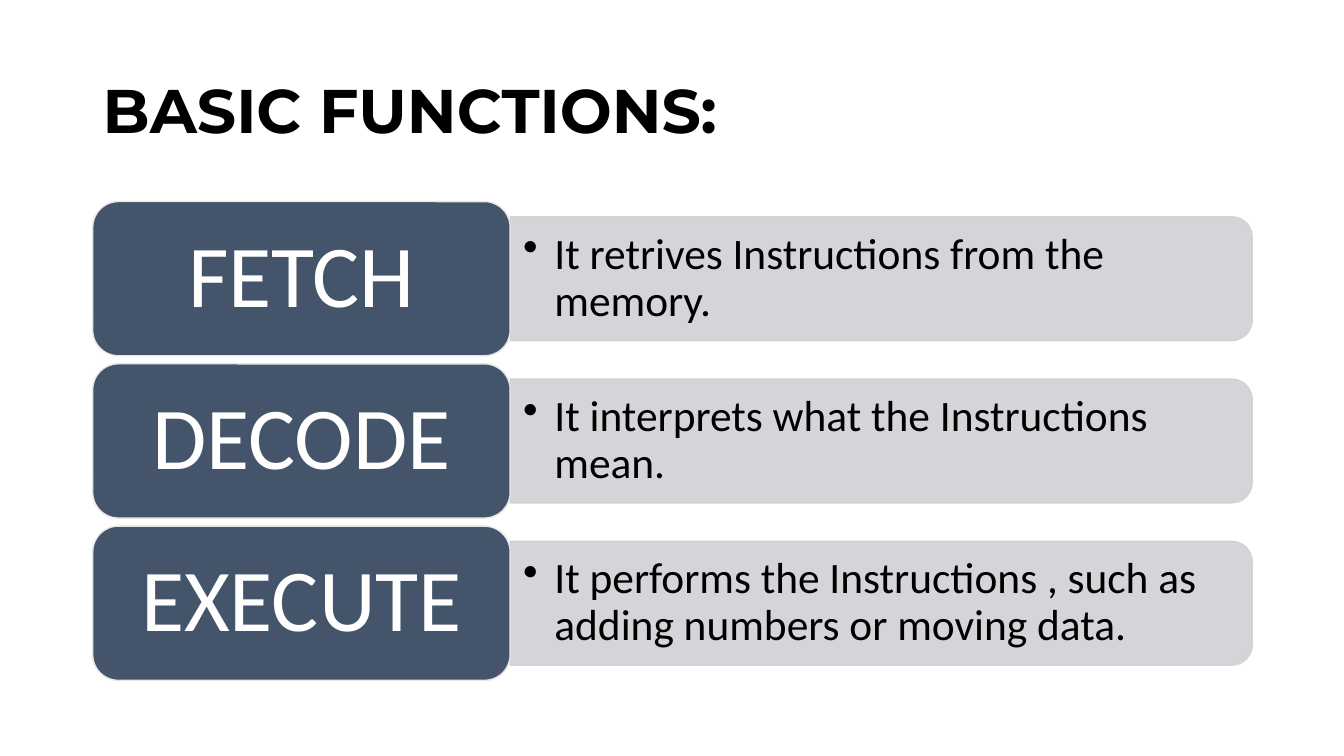
from lxml.etree import SubElement
from pptx import Presentation
from pptx.dml.color import RGBColor
from pptx.enum.shapes import MSO_SHAPE
from pptx.enum.text import MSO_ANCHOR, PP_ALIGN
from pptx.oxml.ns import qn
from pptx.util import Inches, Pt

THEME = {
    "label": RGBColor(0x44, 0x54, 0x6A),
    "edge": RGBColor(0xE7, 0xE6, 0xE6),
    "bar": RGBColor(0xCF, 0xD1, 0xD4),
    "dark": RGBColor(0, 0, 0),
    "light": RGBColor(255, 255, 255),
    "heading": "Montserrat",
    "body": "Calibri",
    "title_size": 44,
    "label_size": 63,
    "text_size": 31,
}
STEPS = [
    ("FETCH", "It retrives Instructions from the memory."),
    ("DECODE", "It interprets what the Instructions mean."),
    ("EXECUTE", "It performs the Instructions , such as adding numbers or moving data."),
]
LEFT, TOP, PITCH = 0.92, 2, 1.61
LABEL_W, LABEL_H = 4.14, 1.53
BAR_W, BAR_H = 7.36, 1.23
BAR_LEFT = LEFT + LABEL_W


def add_text(sp, text, size, color, font, inset_x, inset_y, bold=False):
    tf = sp.text_frame
    tf.word_wrap = True
    tf.vertical_anchor = MSO_ANCHOR.MIDDLE
    tf.margin_left = tf.margin_right = Inches(inset_x)
    tf.margin_top = tf.margin_bottom = Inches(inset_y)
    p = tf.paragraphs[0]
    p.line_spacing = 0.9
    r = p.add_run()
    r.text = text
    r.font.size = Pt(size)
    r.font.name = font
    r.font.bold = bold
    r.font.color.rgb = color
    return p


def add_box(shape, left, top, width, height, fill, line):
    sp = s.shapes.add_shape(shape, Inches(left), Inches(top), Inches(width), Inches(height))
    sp.shadow.inherit = False
    sp.fill.solid()
    sp.fill.fore_color.rgb = fill
    sp.line.color.rgb = line
    sp.line.width = Pt(1)
    return sp


prs = Presentation()
prs.slide_width, prs.slide_height = Inches(13.33), Inches(7.5)
s = prs.slides.add_slide(prs.slide_layouts[6])

title = s.shapes.add_textbox(Inches(LEFT), Inches(0.4), Inches(11.5), Inches(1.45))
add_text(title, "BASIC FUNCTIONS:", THEME["title_size"], THEME["dark"], THEME["heading"], 0.1, 0.05, True)

for row, (name, detail) in enumerate(STEPS):
    top = TOP + row * PITCH
    middle = top + LABEL_H / 2

    bar = add_box(MSO_SHAPE.ROUND_2_SAME_RECTANGLE, BAR_LEFT + (BAR_W - BAR_H) / 2,
                  middle - BAR_W / 2, BAR_H, BAR_W, THEME["bar"], THEME["bar"])
    bar.rotation = 90
    for color in bar.element.spPr.iter(qn("a:srgbClr")):
        SubElement(color, qn("a:alpha"), val="90000")

    text = s.shapes.add_textbox(Inches(BAR_LEFT), Inches(middle - 0.555), Inches(7.3), Inches(1.11))
    p = add_text(text, detail, THEME["text_size"], THEME["dark"], THEME["body"], 0.13, 0.06)
    pPr = p._p.get_or_add_pPr()
    pPr.set("marL", str(Inches(0.31)))
    pPr.set("indent", str(-Inches(0.31)))
    SubElement(pPr, qn("a:buChar"), char="•")

    label = add_box(MSO_SHAPE.ROUNDED_RECTANGLE, LEFT, top, LABEL_W, LABEL_H, THEME["label"], THEME["edge"])
    p = add_text(label, name, THEME["label_size"], THEME["light"], THEME["body"], 0.26, 0.13)
    p.alignment = PP_ALIGN.CENTER

prs.save("out.pptx")
